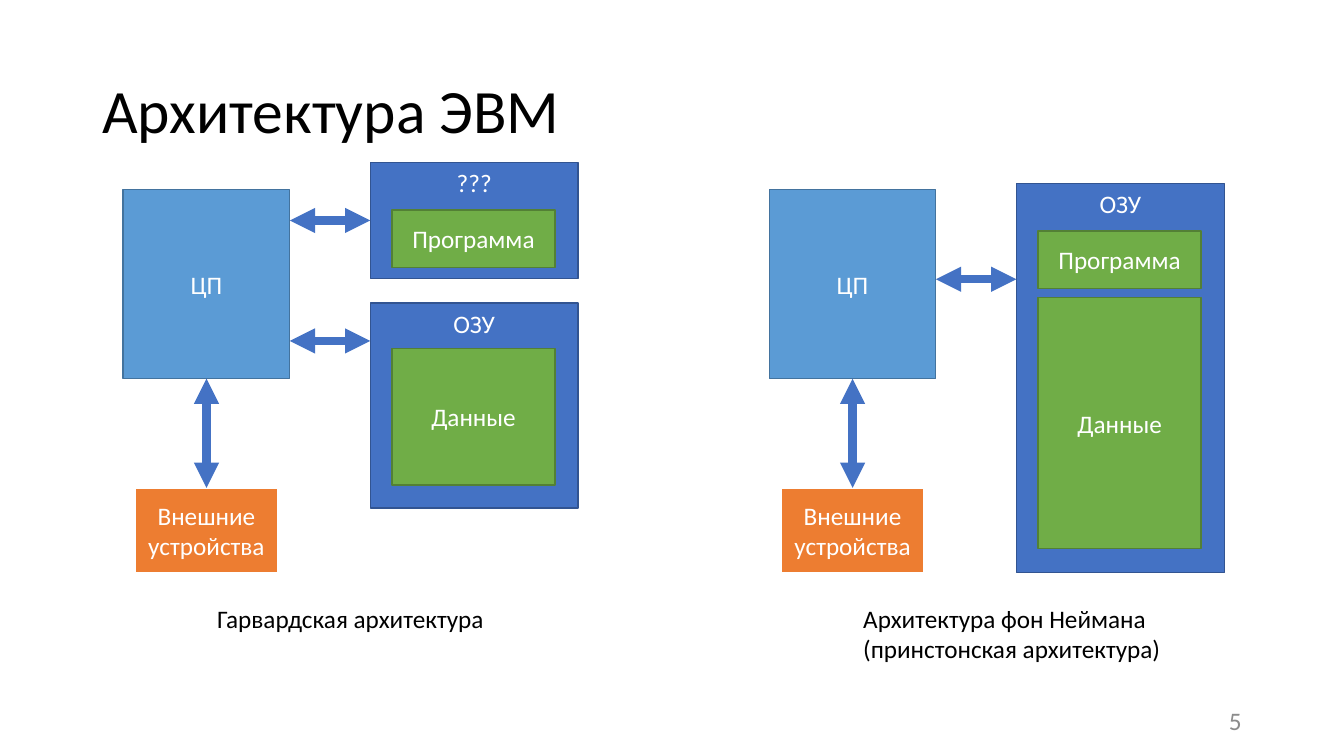
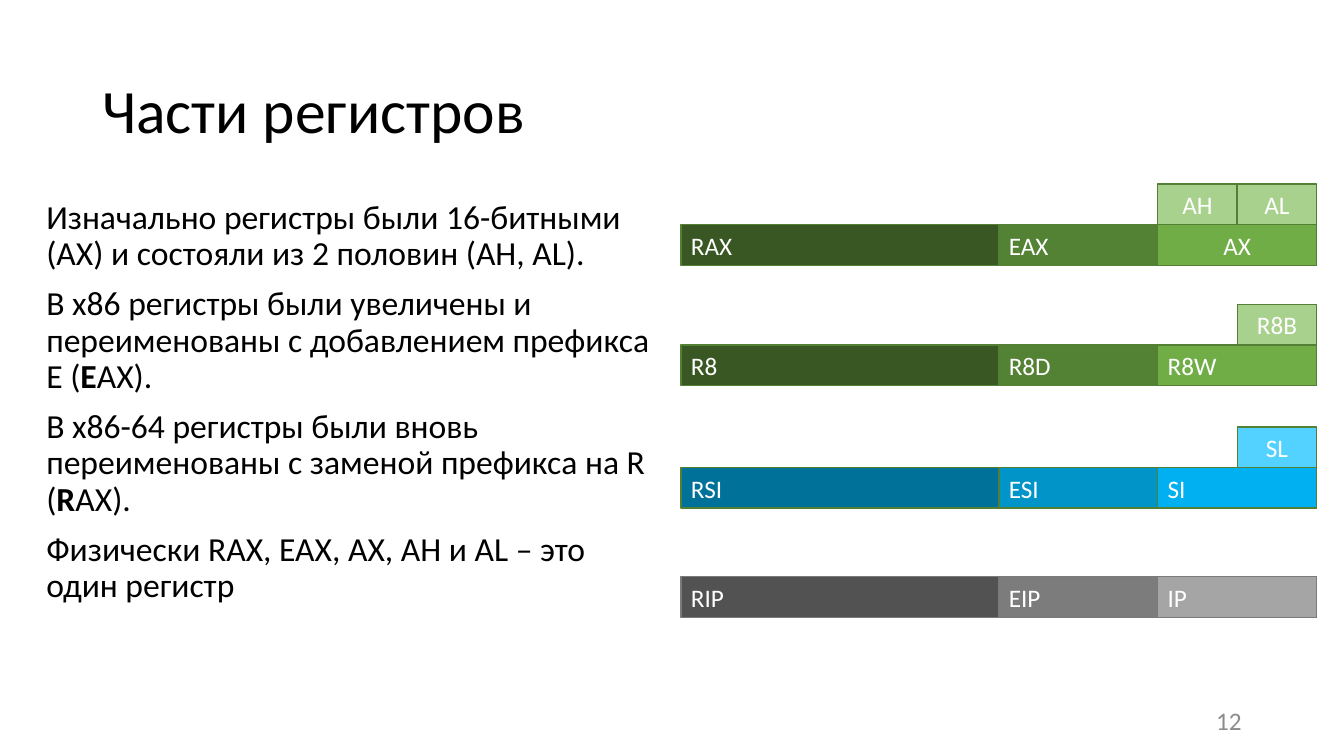
from lxml import etree
from pptx import Presentation
from pptx.dml.color import RGBColor
from pptx.enum.shapes import MSO_CONNECTOR, MSO_SHAPE
from pptx.enum.text import MSO_ANCHOR, MSO_AUTO_SIZE, PP_ALIGN
from pptx.oxml.ns import qn
from pptx.util import Pt

RECT = MSO_SHAPE.RECTANGLE
STRAIGHT = MSO_CONNECTOR.STRAIGHT
TOP, MIDDLE = MSO_ANCHOR.TOP, MSO_ANCHOR.MIDDLE
LEFT, CENTER, RIGHT = PP_ALIGN.LEFT, PP_ALIGN.CENTER, PP_ALIGN.RIGHT
GROW = MSO_AUTO_SIZE.SHAPE_TO_FIT_TEXT
SIDE_TOP, SIDE_LEFT, SIDE_BOTTOM = 0, 1, 2

FONT = "Calibri"
COLORS = {
    "text": "000000", "white": "FFFFFF", "number": "8C8C8C",
    "cpu": "5B9BD5", "cpu_line": "43739E",
    "memory": "4472C4", "memory_line": "325491",
    "content": "70AD47", "green_line": "538035", "gray_line": "7A7A7A",
    "devices": "ED7D31",
    "green_64": "385723", "green_32": "548235", "green_16": "70AD47", "green_8": "A9D18E",
    "blue_64": "00729A", "blue_32": "0094C8", "blue_16": "00B0F0", "blue_8": "53D2FF",
    "gray_64": "525252", "gray_32": "7C7C7C", "gray_16": "A5A5A5",
}


def rgb(name):
    return RGBColor.from_string(COLORS[name])


class Deck:
    """Holds the presentation style and the current slide."""

    def __init__(self):
        self.prs = Presentation()
        self.prs.slide_width, self.prs.slide_height = Pt(960), Pt(540)
        self.s = None

    def slide(self, title, number):
        self.s = self.prs.slides.add_slide(self.prs.slide_layouts[6])
        self.text(66, 29, 828, 104.5, [[title]], 44, anchor=MIDDLE, spacing=0.9)
        self.text(678, 500.5, 216, 28.5, [[str(number)]], 18, "number", RIGHT, MIDDLE)

    def fill_text(self, tf, paragraphs, size, color, align, anchor, spacing=None, gap=0):
        """Fill a frame; each paragraph is a list of runs, every second one bold."""
        tf.word_wrap = True
        tf.vertical_anchor = anchor
        for i, runs in enumerate(paragraphs):
            p = tf.add_paragraph() if i else tf.paragraphs[0]
            p.alignment = align
            if spacing:
                p.line_spacing = spacing
            if i and gap:
                p.space_before = Pt(gap)
            for j, text in enumerate(runs):
                r = p.add_run()
                r.text = text
                r.font.name, r.font.size = FONT, Pt(size)
                r.font.bold = j % 2 == 1
                r.font.color.rgb = rgb(color)

    def text(self, x, y, w, h, paragraphs, size, color="text", align=LEFT,
             anchor=TOP, spacing=None, gap=0):
        sp = self.s.shapes.add_textbox(Pt(x), Pt(y), Pt(w), Pt(h))
        self.fill_text(sp.text_frame, paragraphs, size, color, align, anchor, spacing, gap)
        return sp

    def caption(self, x, y, w, h, lines):
        tf = self.text(x, y, w, h, [[line] for line in lines], 18).text_frame
        tf.word_wrap = False
        tf.auto_size = GROW

    def box(self, x, y, w, h, text, fill, line, align=CENTER, anchor=MIDDLE, weight=1):
        sp = self.s.shapes.add_shape(RECT, Pt(x), Pt(y), Pt(w), Pt(h))
        sp.shadow.inherit = False
        sp.fill.solid()
        sp.fill.fore_color.rgb = rgb(fill)
        sp.line.color.rgb = rgb(line)
        sp.line.width = Pt(weight)
        self.fill_text(sp.text_frame, [[text]], 18, "white", align, anchor)
        return sp

    def arrow(self, x1, y1, x2, y2, begin=None, end=None):
        """Double arrow; begin and end are optional (shape, side) joints."""
        c = self.s.shapes.add_connector(STRAIGHT, Pt(x1), Pt(y1), Pt(x2), Pt(y2))
        if begin:
            c.begin_connect(*begin)
        if end:
            c.end_connect(*end)
        c.line.color.rgb = rgb("memory")
        c.line.width = Pt(6)
        props = c._element.spPr
        ln = props.find(qn("a:ln"))
        for tag in ("a:headEnd", "a:tailEnd"):
            etree.SubElement(ln, qn(tag)).set("type", "triangle")
        etree.SubElement(props, qn("a:effectLst"))

    def architecture(self, x, memories, caption, caption_size):
        """CPU, devices and memories; x is the left edge of the CPU."""
        cpu = self.box(x, 135.5, 119, 135, "ЦП", "cpu", "cpu_line")
        devices = self.box(x + 8.5, 348.5, 102, 61, "Внешние устройства",
                           "devices", "white", weight=1.5)
        self.arrow(x + 59.5, 270.5, x + 59.5, 348.5,
                   (cpu, SIDE_BOTTOM), (devices, SIDE_TOP))
        for name, y, h, bus_y, contents in memories:
            memory = self.box(x + 176.5, y, 148.5, h, name, "memory",
                              "memory_line", anchor=TOP)
            for label, top, height in contents:
                self.box(x + 192, top, 116.5, height, label, "content", "green_line")
            at_middle = bus_y == y + h / 2
            self.arrow(x + 119, bus_y, x + 176.5, bus_y,
                       end=(memory, SIDE_LEFT) if at_middle else None)
        self.caption(x + 60, 427.5, *caption_size, caption)

    def register(self, y, parts, halves, palette, line, last_align=LEFT):
        """Nested parts, each half as wide as the one before, with bytes above."""
        right, height, width = 940.5, 29, 454
        for i, (name, bits) in enumerate(zip(parts, (64, 32, 16))):
            w = width / 2 ** i
            self.box(right - w, y, w, height, name, f"{palette}_{bits}", line,
                     last_align if bits == 16 else LEFT)
        w = width / 8
        for i, name in enumerate(halves, 1):
            self.box(right - i * w, y - height, w, height, name, f"{palette}_8", line)


def main():
    deck = Deck()

    deck.slide("Архитектура ЭВМ", 5)
    deck.architecture(
        88,
        [("???", 116, 83, 157.5, [("Программа", 150, 41)]),
         ("ОЗУ", 216.5, 146.5, 243.5, [("Данные", 249, 97.5)])],
        ["Гарвардская архитектура"], (207.5, 29))
    deck.architecture(
        549.5,
        [("ОЗУ", 131, 278, 199.5, [("Программа", 165, 41), ("Данные", 212.5, 179.5)])],
        ["Архитектура фон Неймана", "(принстонская архитектура)"], (231, 51))

    deck.slide("Части регистров", 12)
    deck.text(26, 139.5, 451.5, 342.5, [
        ["Изначально регистры были 16-битными (AX) и состояли из 2 половин (AH, AL)."],
        ["В х86 регистры были увеличены и переименованы с добавлением префикса E (",
         "E", "AX)."],
        ["В х86-64 регистры были вновь переименованы с заменой префикса на R (",
         "R", "AX)."],
        ["Физически RAX, EAX, AX, AH и AL – это один регистр"],
    ], 24, spacing=0.9, gap=10)
    deck.register(160.5, ("RAX", "EAX", "AX"), ("AL", "AH"), "green", "green_line", CENTER)
    deck.register(246.5, ("R8", "R8D", "R8W"), ("R8B",), "green", "green_line")
    deck.register(334, ("RSI", "ESI", "SI"), ("SL",), "blue", "green_line")
    deck.register(412, ("RIP", "EIP", "IP"), (), "gray", "gray_line")

    deck.prs.save("out.pptx")


if __name__ == "__main__":
    main()
